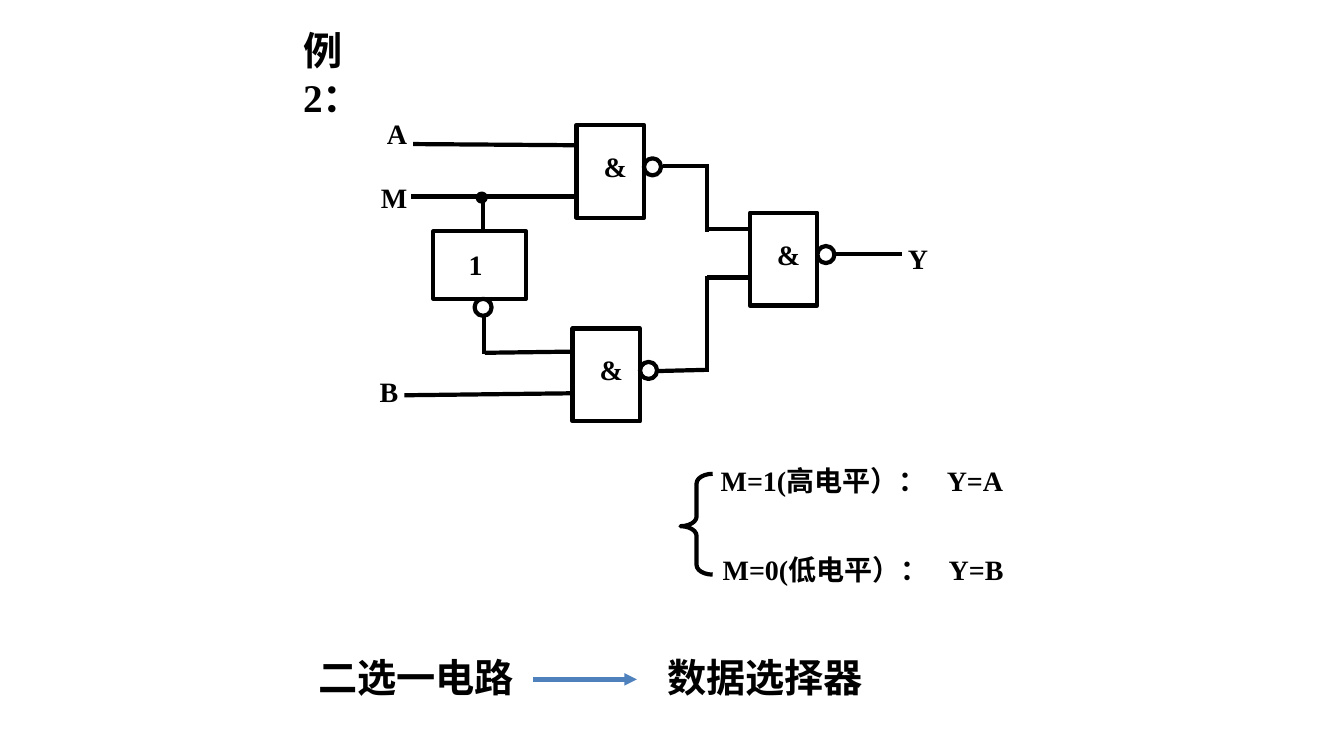
"""Builds a slide with a two-to-one selector made of NAND gates."""
from lxml import etree
from pptx import Presentation
from pptx.dml.color import RGBColor
from pptx.enum import shapes, text
from pptx.oxml import ns
from pptx.util import Cm, Pt

BLACK = RGBColor(0, 0, 0)
WHITE = RGBColor(255, 255, 255)
BLUE = RGBColor(0x4F, 0x81, 0xBD)
SERIF, SANS = "Times New Roman", "Arial"

GATE_WIDTH, GATE_HEIGHT, BUBBLE, DOT = 1.7, 2.34, 0.43, 0.2
LABEL_HEIGHT, HEADING_HEIGHT = 1.12, 1.45
NAND_GATES = [(14.53, 3.15), (14.43, 8.28), (18.9, 5.36)]
INVERTER = (10.92, 5.83)
JUNCTION = (12.04, 4.88)

WIRES = [
    (10.41, 3.63, 14.53, 3.66),
    (10.36, 4.95, 14.53, 4.95),
    (10.19, 9.96, 14.43, 9.91),
    (12.17, 4.95, 12.17, 5.83),
    (12.19, 7.82, 12.19, 8.92),
    (12.22, 8.89, 14.43, 8.86),
    (16.71, 4.19, 17.78, 4.19),
    (17.81, 4.14, 17.81, 5.84),
    (17.83, 5.77, 18.9, 5.77),
    (16.56, 9.35, 17.78, 9.32),
    (17.81, 6.96, 17.81, 9.37),
    (17.83, 6.99, 18.9, 6.99),
    (21.01, 6.4, 22.73, 6.4),
]
SIGNALS = [
    ("A", 9.5, 2.8, 1.04),
    ("M", 9.35, 4.42, 1.19),
    ("B", 9.32, 9.3, 0.99),
    ("Y", 22.63, 5.95, 1.04),
]
CASES = [
    ("M=1(高电平）：\tY=A", 17.91, 11.56),
    ("M=0(低电平）：\tY=B", 17.96, 13.8),
]
CASE_WIDTH, CASE_TAB = 8.1, 5.7
BRACE = (17.15, 11.94, 0.81, 2.54)
NAMES = [("二选一电路", 7.77, 5.51), ("数据选择器", 16.56, 5.49)]
NAMES_TOP = 16.33
ARROW = (13.44, 17.12, 16.05, 17.12)


def add_text(slide, words, left, top, width, height, size=20, font=SERIF,
             wrap=True, tab=None):
    box = slide.shapes.add_textbox(Cm(left), Cm(top), Cm(width), Cm(height))
    box.text_frame.word_wrap = wrap
    box.text_frame.vertical_anchor = text.MSO_ANCHOR.TOP
    paragraph = box.text_frame.paragraphs[0]
    paragraph.text = words
    if tab:
        properties = paragraph._p.get_or_add_pPr()
        tabs = etree.SubElement(properties, ns.qn("a:tabLst"))
        etree.SubElement(tabs, ns.qn("a:tab"), pos=str(Cm(tab)), algn="l")
    paragraph.font.size = Pt(size)
    paragraph.font.bold = True
    paragraph.font.name = font
    paragraph.font.color.rgb = BLACK


def add_outline(slide, kind, left, top, width, height, fill=WHITE):
    shape = slide.shapes.add_shape(kind, Cm(left), Cm(top), Cm(width), Cm(height))
    shape.shadow.inherit = False
    if fill is None:
        shape.fill.background()
    else:
        shape.fill.solid()
        shape.fill.fore_color.rgb = fill
    shape.line.color.rgb = BLACK
    shape.line.width = Pt(3)
    return shape


def add_line(slide, ends, color=BLACK):
    line = slide.shapes.add_connector(
        shapes.MSO_CONNECTOR.STRAIGHT, *[Cm(value) for value in ends])
    line.line.color.rgb = color
    line.line.width = Pt(3)
    etree.SubElement(line._element.spPr, ns.qn("a:effectLst"))
    return line


def add_gate(slide, symbol, left, top, size, bubble, label):
    kinds = shapes.MSO_SHAPE
    add_outline(slide, kinds.RECTANGLE, left, top, *size)
    add_outline(slide, kinds.OVAL, left + bubble[0], top + bubble[1], BUBBLE, BUBBLE)
    add_text(slide, symbol, left + label[0], top + label[1], GATE_WIDTH, LABEL_HEIGHT)


def main():
    presentation = Presentation()
    presentation.slide_width, presentation.slide_height = Cm(33.87), Cm(19.05)
    slide = presentation.slides.add_slide(presentation.slide_layouts[6])

    add_text(slide, "例2：", 7.39, 0.53, 2.16, HEADING_HEIGHT, size=28)
    for ends in WIRES:
        add_line(slide, ends)
    for left, top in NAND_GATES:
        add_gate(slide, "&", left, top, (GATE_WIDTH, GATE_HEIGHT),
                 (GATE_WIDTH, 0.84), (0.43, 0.49))
    add_gate(slide, "1", *INVERTER, (GATE_HEIGHT, GATE_WIDTH),
             (1.04, GATE_WIDTH), (0.64, 0.27))
    add_outline(slide, shapes.MSO_SHAPE.OVAL, *JUNCTION, DOT, DOT, fill=BLACK)
    for words, left, top, width in SIGNALS:
        add_text(slide, words, left, top, width, LABEL_HEIGHT, wrap=False)

    for words, left, top in CASES:
        add_text(slide, words, left, top, CASE_WIDTH, LABEL_HEIGHT, tab=CASE_TAB)
    brace = add_outline(slide, shapes.MSO_SHAPE.LEFT_BRACE, *BRACE, fill=None)
    brace.adjustments[0], brace.adjustments[1] = 0.3, 0.52

    for words, left, width in NAMES:
        add_text(slide, words, left, NAMES_TOP, width, HEADING_HEIGHT,
                 size=28, font=SANS, wrap=False)
    arrow = add_line(slide, ARROW, BLUE)
    etree.SubElement(arrow.line._get_or_add_ln(), ns.qn("a:tailEnd"), type="triangle")

    presentation.save("out.pptx")


if __name__ == "__main__":
    main()
